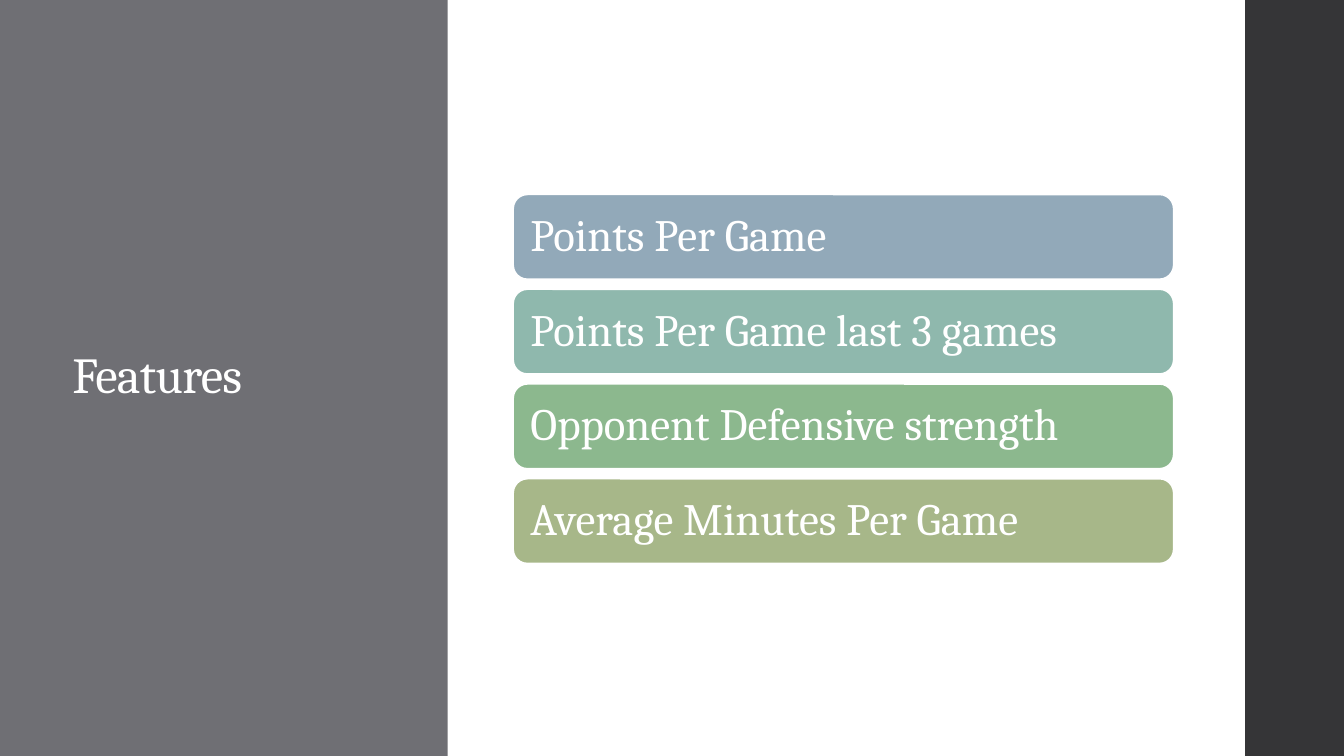
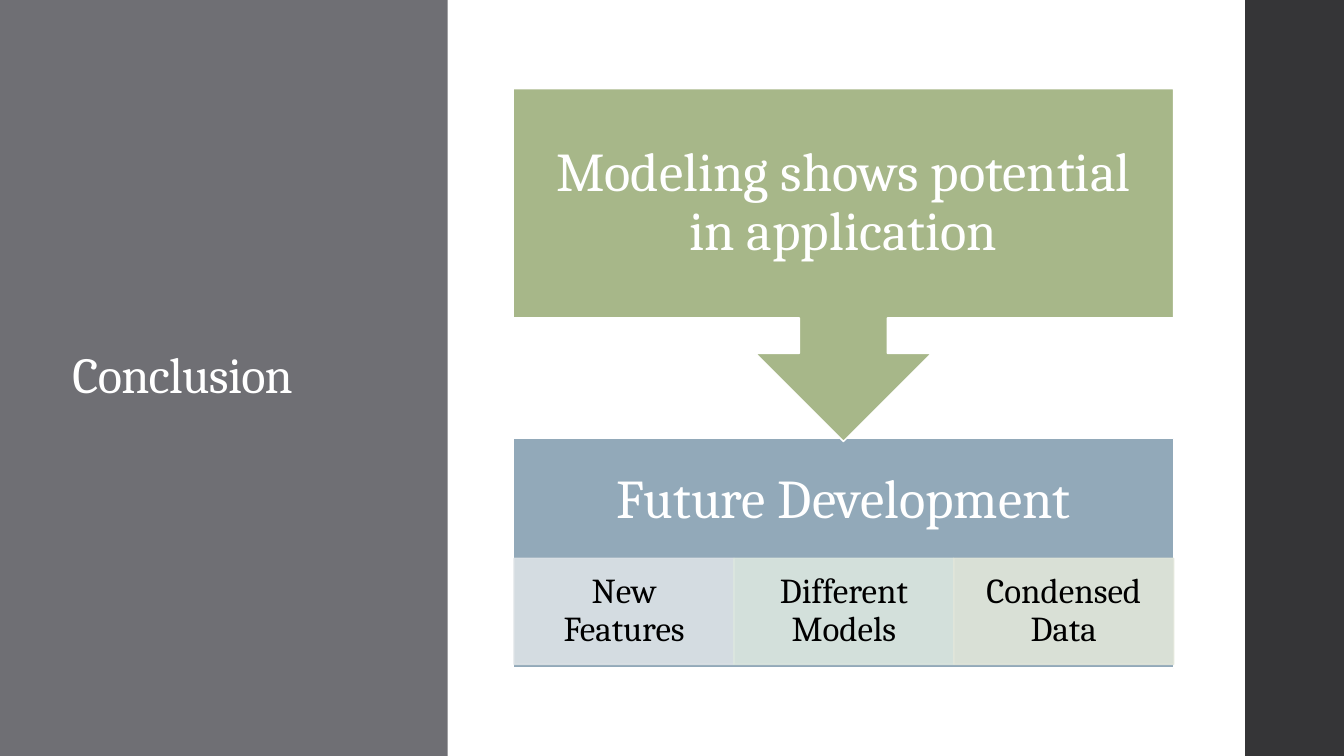
import pptx
import pptx.util
from pptx.dml.color import RGBColor
from pptx.enum.shapes import MSO_SHAPE
from pptx.enum.text import MSO_ANCHOR, PP_ALIGN
from pptx.oxml.ns import qn
from pptx.oxml.xmlchemy import OxmlElement

WHITE = RGBColor(0xFF, 0xFF, 0xFF)
BLACK = RGBColor(0x00, 0x00, 0x00)
GRAY = RGBColor(0x6F, 0x6F, 0x74)
DARK = RGBColor(0x35, 0x35, 0x37)
BLUE = RGBColor(0x92, 0xA9, 0xB9)
TEAL = RGBColor(0x8F, 0xB8, 0xAD)
GREEN = RGBColor(0x8C, 0xB8, 0x8E)
OLIVE = RGBColor(0xA7, 0xB7, 0x89)
PALE_BLUE = RGBColor(0xDC, 0xE2, 0xE6)
PALE_TEAL = RGBColor(0xDB, 0xE6, 0xDF)
PALE_OLIVE = RGBColor(0xE1, 0xE6, 0xDA)

FEATURES = [
    ("Points Per Game", BLUE),
    ("Points Per Game last 3 games", TEAL),
    ("Opponent Defensive strength", GREEN),
    ("Average Minutes Per Game", OLIVE),
]
RESULT = "Modeling shows potential in application"
FUTURE = "Future Development"
STEPS = [
    ("New Features", PALE_BLUE),
    ("Different Models", PALE_TEAL),
    ("Condensed Data", PALE_OLIVE),
]

# Lengths in px, 100 to the inch
PX = 9144
WIDE, HIGH = 1333, 750
PANEL_W, STRIP_X = 444, 1235
TITLE_BOX = (62, 91, 297, 567)
BODY_X, BODY_W = 509, 655
ROW_Y, ROW_H, ROW_GAP = 193, 84, 10
CALL_Y, CALL_H = 88, 350
BASE_Y, BASE_H = 435, 228
STEP_X, STEP_Y, STEP_W, STEP_H = 510, 554, 218, 105

TITLE = {"size": 36, "color": WHITE, "pad": (10, 5, 10, 5), "spc": -50}
ROW = {"size": 32, "color": WHITE, "pad": (13, 13, 13, 13)}
HEAD = {"size": 39, "color": WHITE, "pad": (30, 30, 30, 30), "align": PP_ALIGN.CENTER}
BASE = {**HEAD, "pad": (30, 30, 30, 30 + STEP_H)}
STEP = {"size": 25, "color": BLACK, "pad": (19, 3, 19, 3), "align": PP_ALIGN.CENTER}


def emu(box):
    return [n * PX for n in box]


def put_text(shape, text, look):
    frame = shape.text_frame
    frame.word_wrap = True
    frame.vertical_anchor = MSO_ANCHOR.MIDDLE
    for side, pad in zip(("left", "top", "right", "bottom"), emu(look["pad"])):
        setattr(frame, "margin_" + side, pad)
    para = frame.paragraphs[0]
    para.line_spacing = 0.9
    para.alignment = look.get("align", PP_ALIGN.LEFT)
    run = para.add_run()
    run.text = text
    font = {"name": "Cambria", "size": pptx.util.Pt(look["size"])}
    for key, value in font.items():
        setattr(run.font, key, value)
    run.font.color.rgb = look["color"]
    if "spc" in look:
        run._r.get_or_add_rPr().set("spc", str(look["spc"]))


def add_block(slide, kind, box, fill, line=None):
    shape = slide.shapes.add_shape(kind, *emu(box))
    shape.shadow.inherit = False
    shape.fill.solid()
    shape.fill.fore_color.rgb = fill
    if line is None:
        shape.line.fill.background()
    else:
        shape.line.color.rgb = line
        shape.line.width = pptx.util.Pt(1.1)
    return shape


def set_alpha(shape, percent):
    """Make the fill and the line of a shape partly transparent."""
    for color in shape._element.spPr.iter(qn("a:srgbClr")):
        alpha = OxmlElement("a:alpha")
        alpha.set("val", str(percent * 1000))
        color.append(alpha)


def add_slide(deck, title):
    """Add a slide with the side panel, its title and the right strip."""
    slide = deck.slides.add_slide(deck.slide_layouts[6])
    add_block(slide, MSO_SHAPE.RECTANGLE, (0, 0, PANEL_W, HIGH), GRAY)
    put_text(slide.shapes.add_textbox(*emu(TITLE_BOX)), title, TITLE)
    add_block(slide, MSO_SHAPE.RECTANGLE, (STRIP_X, 0, WIDE - STRIP_X, HIGH), DARK)
    return slide


def add_features(deck):
    slide = add_slide(deck, "Features")
    for i, (text, fill) in enumerate(FEATURES):
        box = (BODY_X, ROW_Y + i * (ROW_H + ROW_GAP), BODY_W, ROW_H)
        row = add_block(slide, MSO_SHAPE.ROUNDED_RECTANGLE, box, fill, WHITE)
        put_text(row, text, ROW)


def add_conclusion(deck):
    slide = add_slide(deck, "Conclusion")
    box = (BODY_X, BASE_Y, BODY_W, BASE_H)
    base = add_block(slide, MSO_SHAPE.RECTANGLE, box, BLUE, WHITE)
    put_text(base, FUTURE, BASE)
    for i, (text, fill) in enumerate(STEPS):
        box = (STEP_X + i * STEP_W, STEP_Y, STEP_W, STEP_H)
        step = add_block(slide, MSO_SHAPE.RECTANGLE, box, fill, fill)
        set_alpha(step, 90)
        put_text(step, text, STEP)
    box = (BODY_X, CALL_Y, BODY_W, CALL_H)
    call = add_block(slide, MSO_SHAPE.DOWN_ARROW_CALLOUT, box, OLIVE, WHITE)
    put_text(call, RESULT, HEAD)


def main():
    deck = pptx.Presentation()
    deck.slide_width, deck.slide_height = emu((WIDE, HIGH))
    add_features(deck)
    add_conclusion(deck)
    deck.save("out.pptx")


if __name__ == "__main__":
    main()
